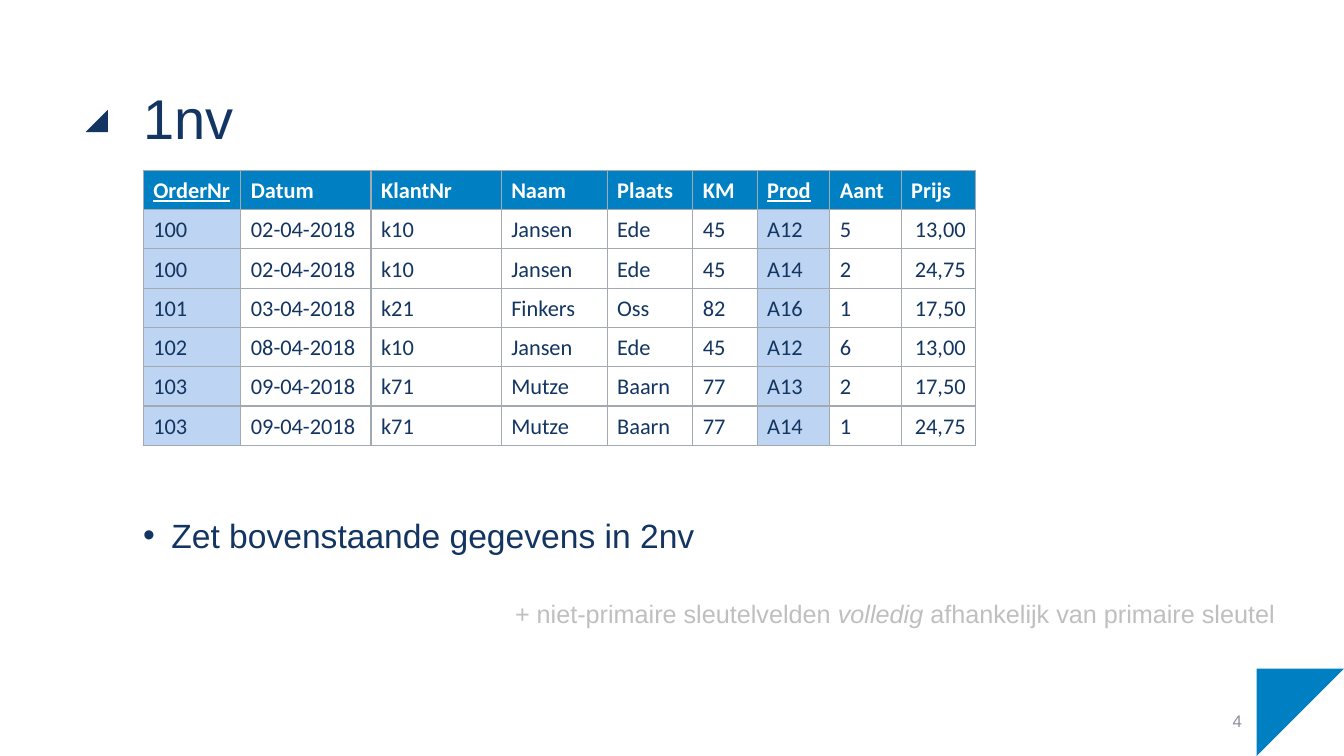
from lxml import etree
from pptx import Presentation
from pptx.dml.color import RGBColor
from pptx.enum.shapes import MSO_SHAPE
from pptx.enum.text import MSO_ANCHOR, PP_ALIGN
from pptx.oxml.ns import qn
from pptx.util import Cm, Pt

NAVY = RGBColor(0x13, 0x35, 0x61)
BLUE = RGBColor(0x00, 0x7F, 0xC3)
PALE_BLUE = RGBColor(0xBD, 0xD4, 0xF2)
WHITE = RGBColor(0xFF, 0xFF, 0xFF)
BORDER_GRAY = RGBColor(0xA2, 0xA9, 0xB1)
HINT_GRAY = RGBColor(0xBF, 0xBF, 0xBF)
NUMBER_GRAY = RGBColor(0x8C, 0x90, 0x9E)

LEFT, RIGHT = PP_ALIGN.LEFT, PP_ALIGN.RIGHT
TOP, MIDDLE = MSO_ANCHOR.TOP, MSO_ANCHOR.MIDDLE
RIGHT_TRIANGLE = MSO_SHAPE.RIGHT_TRIANGLE

CONTENT_LEFT, CONTENT_WIDTH = 3.61, 27.4
ROW_HEIGHT = 0.99
COLUMN_WIDTHS = [2.46, 3.28, 3.28, 2.67, 2.16, 1.62, 1.83, 1.8, 1.88]
KEY_COLUMNS = {"OrderNr", "Prod"}
HEADERS = ["OrderNr", "Datum", "KlantNr", "Naam", "Plaats", "KM", "Prod", "Aant", "Prijs"]
ORDERS = [
    ["100", "02-04-2018", "k10", "Jansen", "Ede", "45", "A12", "5", "13,00"],
    ["100", "02-04-2018", "k10", "Jansen", "Ede", "45", "A14", "2", "24,75"],
    ["101", "03-04-2018", "k21", "Finkers", "Oss", "82", "A16", "1", "17,50"],
    ["102", "08-04-2018", "k10", "Jansen", "Ede", "45", "A12", "6", "13,00"],
    ["103", "09-04-2018", "k71", "Mutze", "Baarn", "77", "A13", "2", "17,50"],
    ["103", "09-04-2018", "k71", "Mutze", "Baarn", "77", "A14", "1", "24,75"],
]


def add_span(para, text, font="Arial", size=18, color=NAVY, bold=False,
             italic=False, underline=False):
    span = para.add_run()
    span.text = text
    span.font.name = font
    span.font.size = Pt(size)
    span.font.color.rgb = color
    span.font.bold = bold
    span.font.italic = italic
    span.font.underline = underline


def add_bullet(para, indent):
    """Give the paragraph a round bullet with a hanging indent in cm."""
    properties = para._p.get_or_add_pPr()
    properties.set("marL", str(Cm(indent)))
    properties.set("indent", str(-Cm(indent)))
    etree.SubElement(properties, qn("a:buFont"), typeface="Arial")
    etree.SubElement(properties, qn("a:buChar"), char="•")


def add_borders(cell, color, width):
    properties = cell._tc.get_or_add_tcPr()
    for position, side in enumerate(("a:lnL", "a:lnR", "a:lnT", "a:lnB")):
        line = etree.Element(qn(side), w=str(Pt(width)))
        fill = etree.SubElement(line, qn("a:solidFill"))
        etree.SubElement(fill, qn("a:srgbClr"), val=str(color))
        properties.insert(position, line)


class SlideBuilder:
    """Holds the shared style and the slide being filled."""

    def __init__(self, page):
        self.page = page
        self.table_font = {"font": "Calibri", "size": 16}

    def triangle(self, left, top, side, color, rotation=0, flipped=False):
        shape = self.page.shapes.add_shape(
            RIGHT_TRIANGLE, Cm(left), Cm(top), Cm(side), Cm(side))
        shape.shadow.inherit = False
        shape.fill.solid()
        shape.fill.fore_color.rgb = color
        shape.line.fill.background()
        shape.rotation = rotation
        if flipped:
            shape._element.spPr.xfrm.set("flipH", "1")

    def text(self, left, top, width, height, spans, align=LEFT, anchor=TOP,
             spacing=1.0, inset=True, bullet_indent=0):
        """Add a text box; spans is a list of (text, format) pairs."""
        box = self.page.shapes.add_textbox(Cm(left), Cm(top), Cm(width), Cm(height))
        frame = box.text_frame
        frame.word_wrap = True
        frame.vertical_anchor = anchor
        if not inset:
            frame.margin_left = frame.margin_right = 0
            frame.margin_top = frame.margin_bottom = 0
        para = frame.paragraphs[0]
        para.alignment = align
        para.line_spacing = spacing
        if bullet_indent:
            add_bullet(para, bullet_indent)
        for text, style in spans:
            add_span(para, text, **style)

    def table(self, left, top, headers, records):
        rows = [headers] + records
        table = self.page.shapes.add_table(
            len(rows), len(headers), Cm(left), Cm(top),
            Cm(sum(COLUMN_WIDTHS)), Cm(ROW_HEIGHT * len(rows))).table
        for column, width in zip(table.columns, COLUMN_WIDTHS):
            column.width = Cm(width)
        for row_index, row in enumerate(rows):
            table.rows[row_index].height = Cm(ROW_HEIGHT)
            for column_index, (header, text) in enumerate(zip(headers, row)):
                self.cell(table.cell(row_index, column_index), text, header,
                          is_header=row_index == 0)

    def cell(self, cell, text, header, is_header):
        is_key = header in KEY_COLUMNS
        cell.fill.solid()
        cell.fill.fore_color.rgb = BLUE if is_header else PALE_BLUE if is_key else WHITE
        cell.vertical_anchor = MIDDLE
        add_borders(cell, BORDER_GRAY, 1)
        para = cell.text_frame.paragraphs[0]
        para.alignment = RIGHT if header == "Prijs" and not is_header else LEFT
        para.line_spacing = 1.07
        para.space_after = Pt(8)
        add_span(para, text, color=WHITE if is_header else NAVY, bold=is_header,
                 underline=is_header and is_key, **self.table_font)


def main():
    deck = Presentation()
    deck.slide_width, deck.slide_height = Cm(33.87), Cm(19.05)
    page = deck.slides.add_slide(deck.slide_layouts[6])
    builder = SlideBuilder(page)

    builder.triangle(2.16, 2.77, 0.56, NAVY, flipped=True)
    builder.triangle(31.67, 16.85, 2.2, BLUE, rotation=90)
    builder.text(23.93, 17.65, 7.62, 1.02, [("4", {"size": 12, "color": NUMBER_GRAY})],
                 align=RIGHT, anchor=MIDDLE)
    builder.text(CONTENT_LEFT, 12.78, CONTENT_WIDTH, 4.32,
                 [("Zet bovenstaande gegevens in 2nv", {"size": 24})],
                 spacing=1.2, inset=False, bullet_indent=0.71)
    builder.text(CONTENT_LEFT, 2.01, CONTENT_WIDTH, 3.61, [("1nv", {"size": 40})],
                 spacing=1.05, inset=False)
    builder.table(CONTENT_LEFT, 4.29, HEADERS, ORDERS)
    hint = {"color": HINT_GRAY}
    builder.text(12.73, 14.96, 19.81, 1.02, [
        ("+ niet-primaire sleutelvelden ", hint),
        ("volledig ", {**hint, "italic": True}),
        ("afhankelijk van primaire sleutel", hint),
    ])
    deck.save("out.pptx")


if __name__ == "__main__":
    main()
